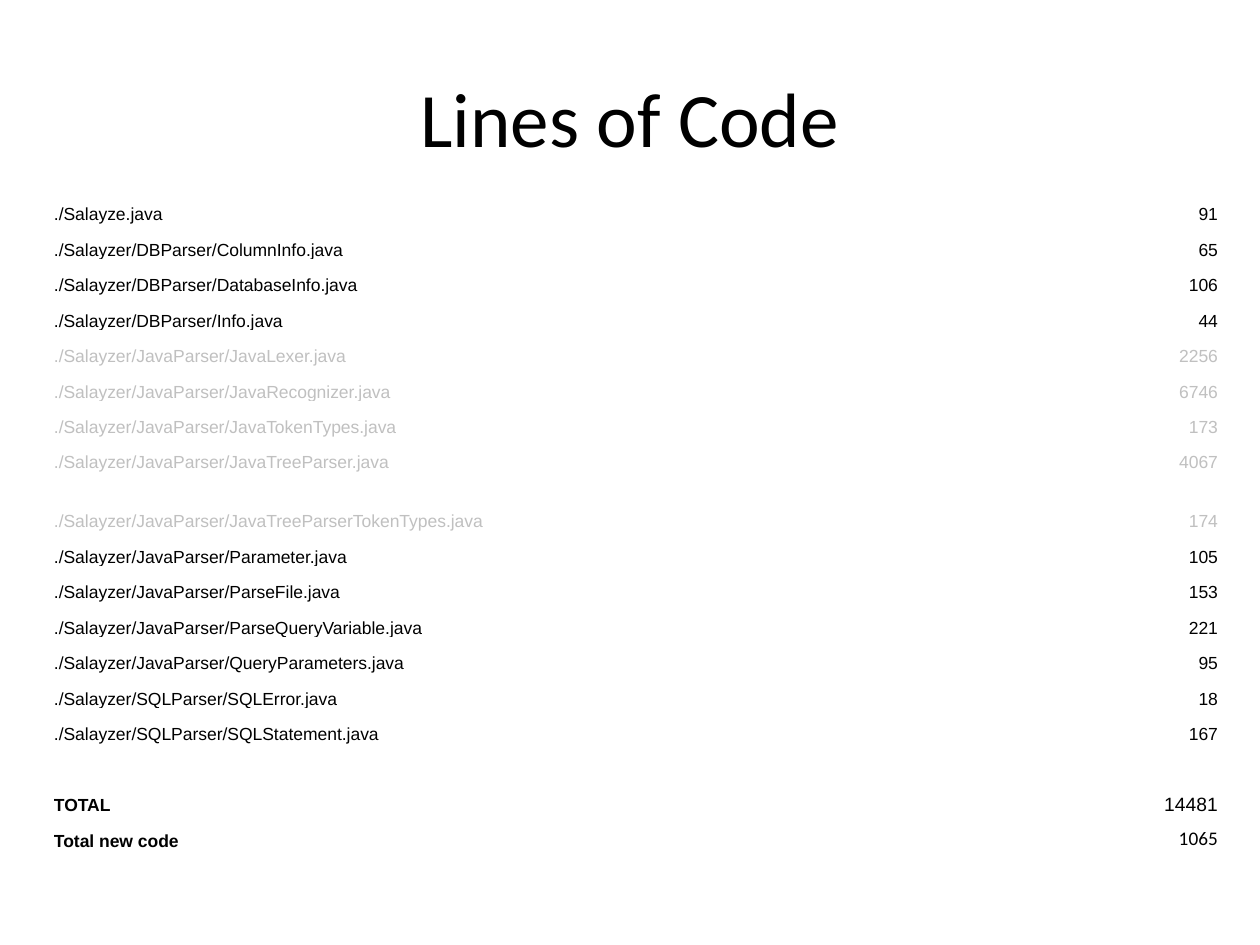
import pptx
import pptx.dml.color
import pptx.enum.text
import pptx.util

BLACK = pptx.dml.color.RGBColor(0x00, 0x00, 0x00)
GREY = pptx.dml.color.RGBColor(0xC0, 0xC0, 0xC0)
PX = 914400 // 126

TITLE = "Lines of Code"
TITLE_BOX = (63, 38, 1134, 157)

# (file, lines, generated code)
FILES = [
    ("./Salayze.java", 91, False),
    ("./Salayzer/DBParser/ColumnInfo.java", 65, False),
    ("./Salayzer/DBParser/DatabaseInfo.java", 106, False),
    ("./Salayzer/DBParser/Info.java", 44, False),
    ("./Salayzer/JavaParser/JavaLexer.java", 2256, True),
    ("./Salayzer/JavaParser/JavaRecognizer.java", 6746, True),
    ("./Salayzer/JavaParser/JavaTokenTypes.java", 173, True),
    ("./Salayzer/JavaParser/JavaTreeParser.java", 4067, True),
    ("./Salayzer/JavaParser/JavaTreeParserTokenTypes.java", 174, True),
    ("./Salayzer/JavaParser/Parameter.java", 105, False),
    ("./Salayzer/JavaParser/ParseFile.java", 153, False),
    ("./Salayzer/JavaParser/ParseQueryVariable.java", 221, False),
    ("./Salayzer/JavaParser/QueryParameters.java", 95, False),
    ("./Salayzer/SQLParser/SQLError.java", 18, False),
    ("./Salayzer/SQLParser/SQLStatement.java", 167, False),
]
# (label, lines, font of the number)
TOTALS = [("TOTAL", 14481, "Arial"), ("Total new code", 1065, "Calibri")]

TABLE_LEFT, TABLE_TOP, TABLE_HEIGHT = 53, 189, 662
COLUMN_WIDTHS = (1021, 145)
TALL_ROW, TALL_ROW_HEIGHT = 8, 59


def add_run(paragraph, text, size, font="Arial", color=BLACK, bold=False):
    run = paragraph.add_run()
    run.text = text
    run.font.size = pptx.util.Pt(size)
    run.font.name = font
    run.font.color.rgb = color
    run.font.bold = bold


def add_title(slide):
    box = slide.shapes.add_textbox(*(value * PX for value in TITLE_BOX))
    frame = box.text_frame
    frame.word_wrap = True
    frame.vertical_anchor = pptx.enum.text.MSO_ANCHOR.MIDDLE
    paragraph = frame.paragraphs[0]
    paragraph.alignment = pptx.enum.text.PP_ALIGN.CENTER
    add_run(paragraph, TITLE, 44, "Calibri")


def prepare_cell(cell):
    """Clear the fill, tighten the margins and keep empty lines small."""
    cell.fill.background()
    cell.vertical_anchor = pptx.enum.text.MSO_ANCHOR.BOTTOM
    cell.margin_left = cell.margin_right = cell.margin_top = PX
    cell.margin_bottom = 0
    paragraph = cell.text_frame.paragraphs[0]
    paragraph._p.get_or_add_endParaRPr().set("sz", "1000")


def add_line_table(slide):
    first_total = len(FILES) + 1
    row_count = first_total + len(TOTALS)
    table = slide.shapes.add_table(
        row_count, len(COLUMN_WIDTHS), TABLE_LEFT * PX, TABLE_TOP * PX,
        sum(COLUMN_WIDTHS) * PX, TABLE_HEIGHT * PX).table
    table.first_row = table.horz_banding = False
    for column, width in zip(table.columns, COLUMN_WIDTHS):
        column.width = width * PX

    row_height = (TABLE_HEIGHT - TALL_ROW_HEIGHT) * PX // (row_count - 1)
    for index, row in enumerate(table.rows):
        row.height = TALL_ROW_HEIGHT * PX if index == TALL_ROW else row_height
        for cell in row.cells:
            prepare_cell(cell)

    def row_paragraphs(index):
        label, number = (cell.text_frame.paragraphs[0]
                         for cell in table.rows[index].cells)
        number.alignment = pptx.enum.text.PP_ALIGN.RIGHT
        return label, number

    for index, (name, lines, generated) in enumerate(FILES):
        color = GREY if generated else BLACK
        for paragraph, text in zip(row_paragraphs(index), (name, str(lines))):
            add_run(paragraph, text, 10, color=color)
    for index, (name, lines, font) in enumerate(TOTALS, first_total):
        label, number = row_paragraphs(index)
        add_run(label, name, 10, bold=True)
        add_run(number, str(lines), 11, font)


def main():
    presentation = pptx.Presentation()
    presentation.slide_width = 1260 * PX
    presentation.slide_height = 945 * PX
    slide = presentation.slides.add_slide(presentation.slide_layouts[6])
    add_title(slide)
    add_line_table(slide)
    presentation.save("out.pptx")


if __name__ == "__main__":
    main()
